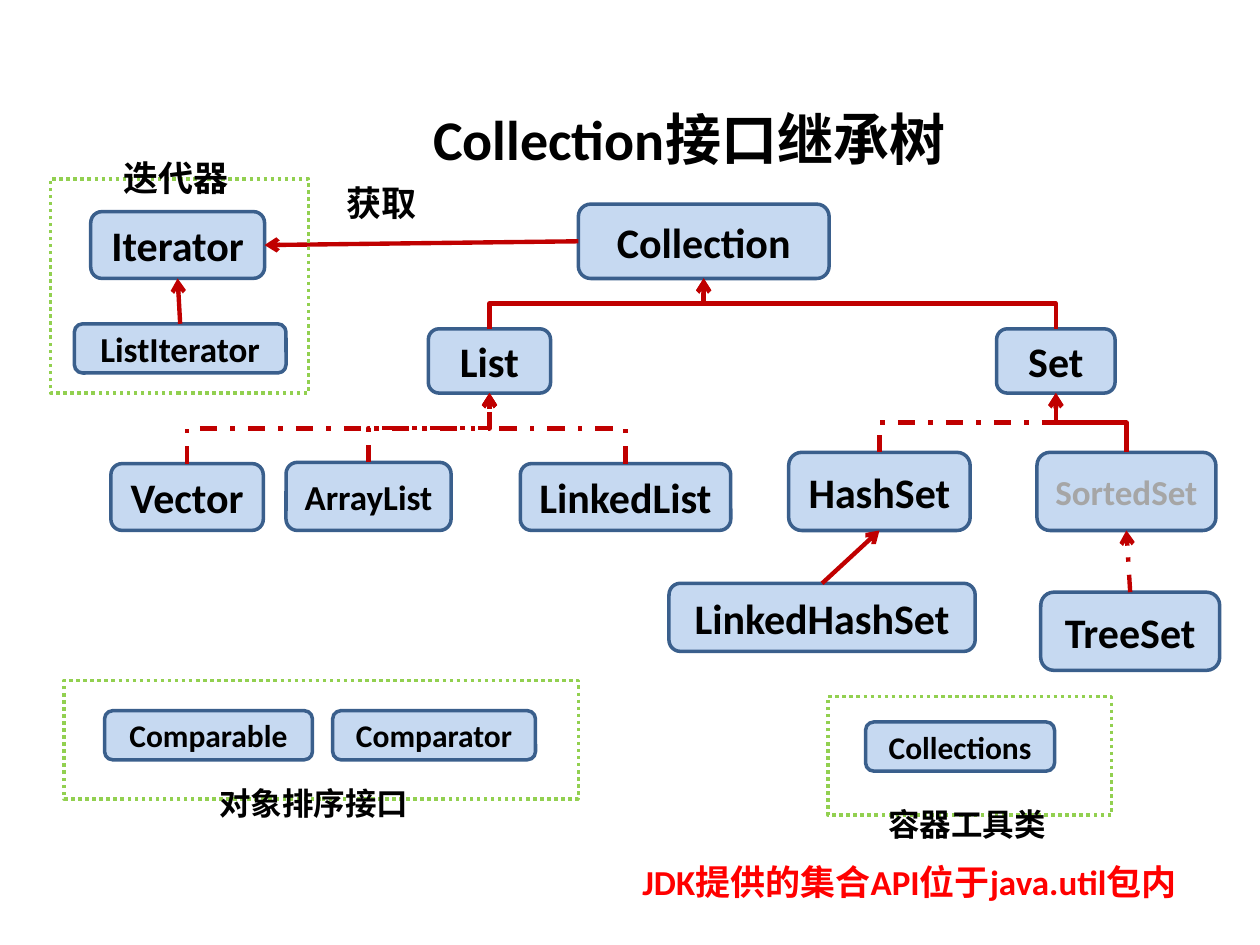
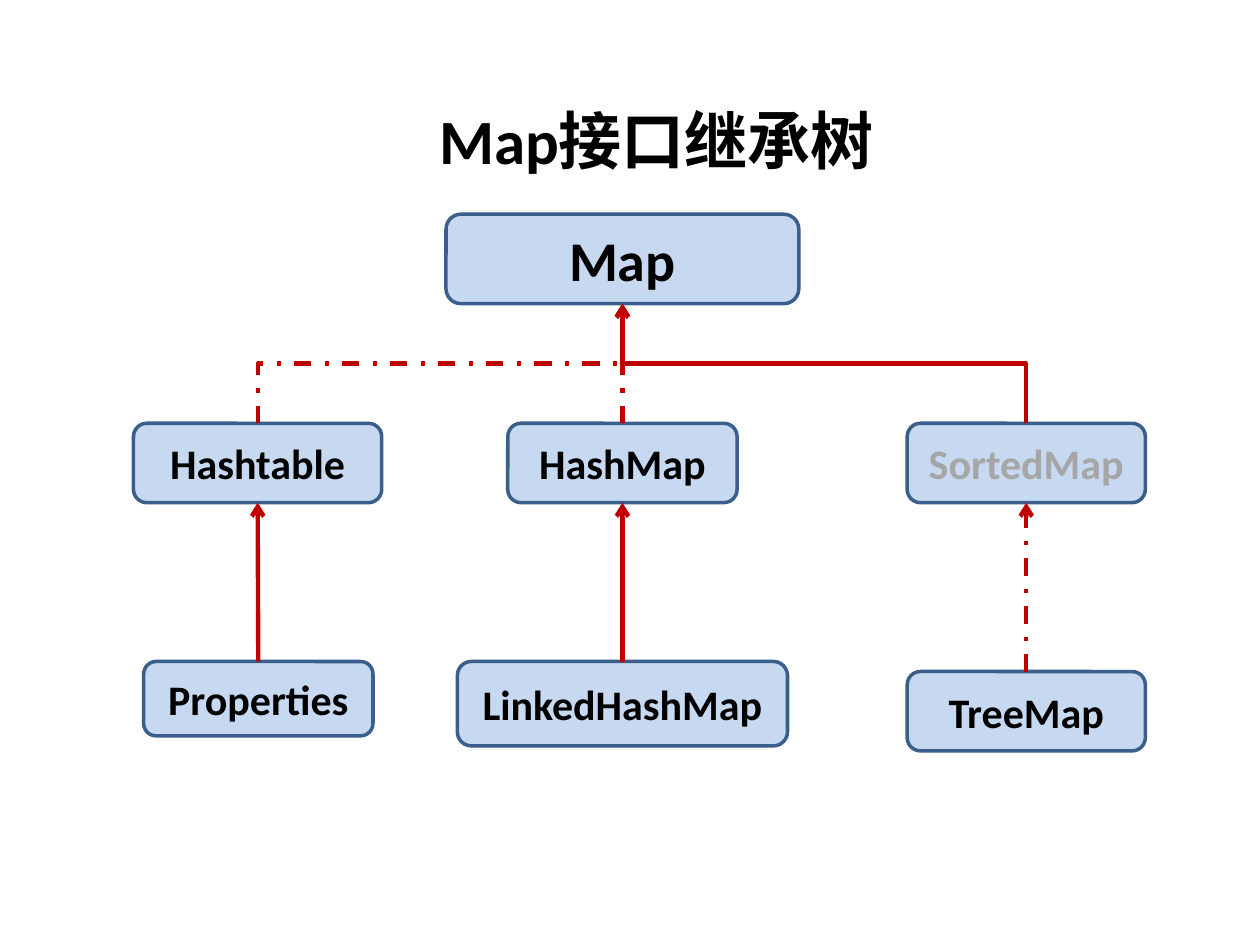
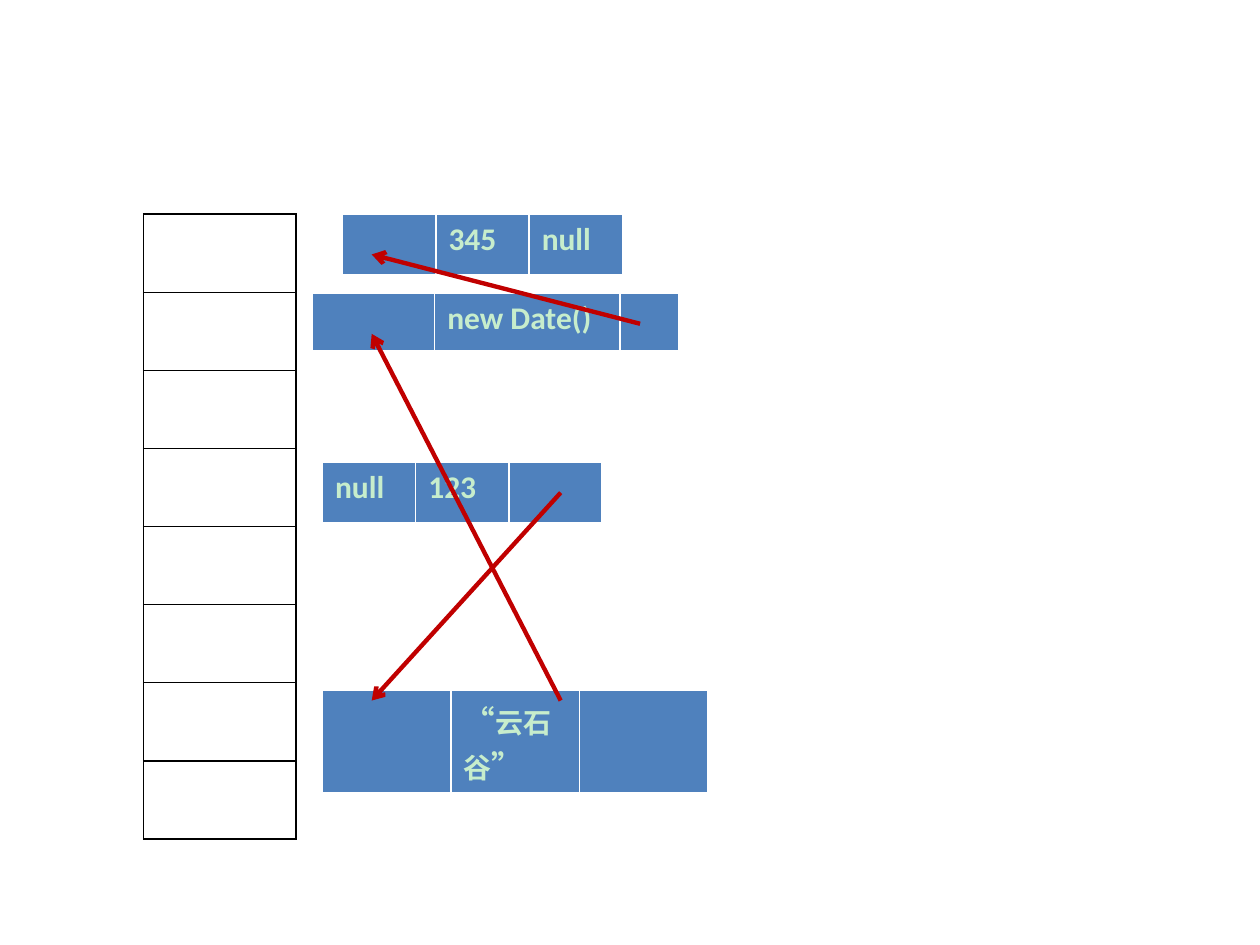
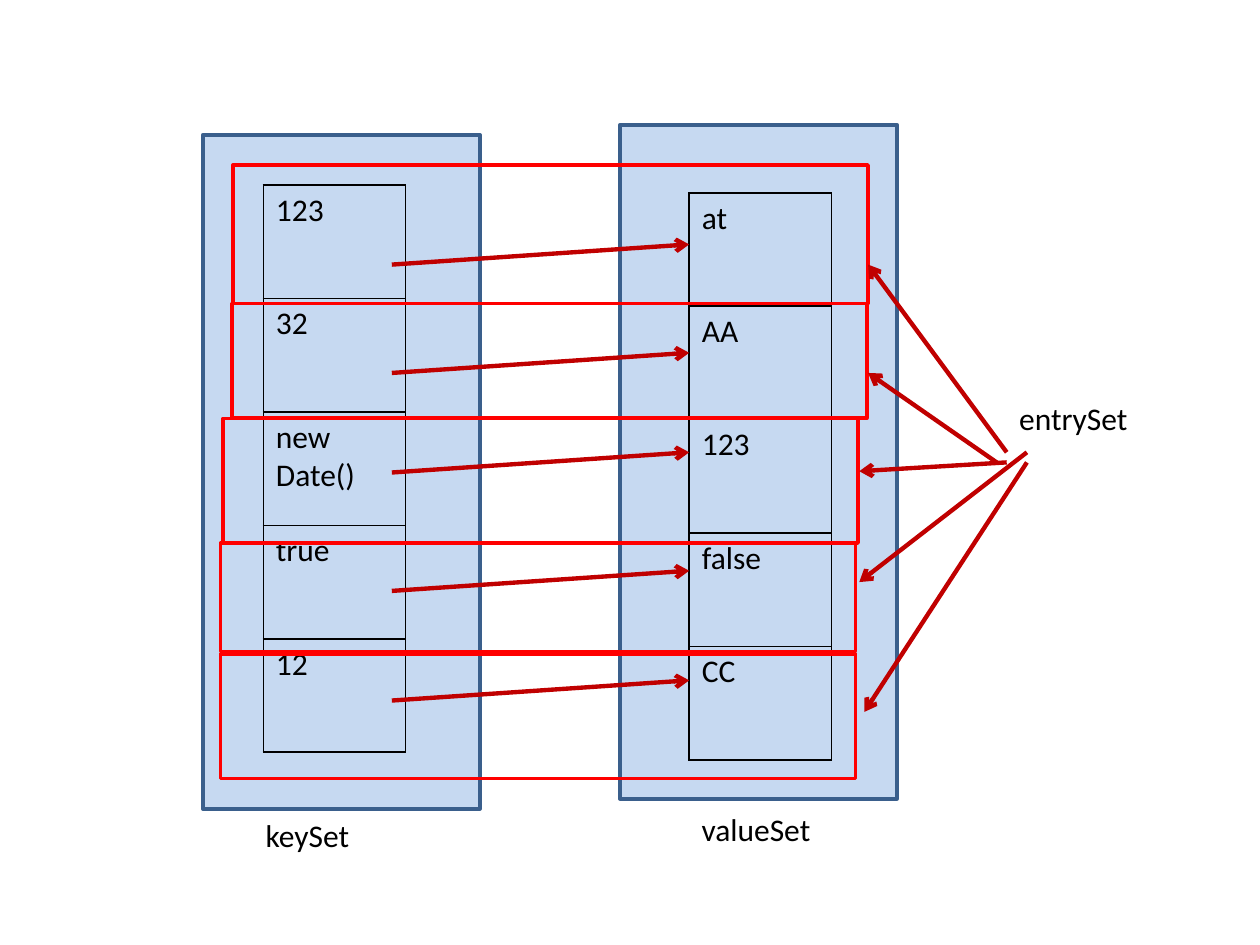
import lxml.etree
import pptx
import pptx.dml.color
import pptx.enum.dml
import pptx.enum.lang
import pptx.enum.shapes
import pptx.enum.text
import pptx.oxml.ns
import pptx.util

Inches = pptx.util.Inches
Pt = pptx.util.Pt
RGBColor = pptx.dml.color.RGBColor
Dash = pptx.enum.dml.MSO_LINE
Shape = pptx.enum.shapes.MSO_SHAPE
Connector = pptx.enum.shapes.MSO_CONNECTOR
Align = pptx.enum.text.PP_ALIGN
Anchor = pptx.enum.text.MSO_ANCHOR
qn = pptx.oxml.ns.qn

# Shared look
FONT = "Calibri"
WHITE = RGBColor(0xFF, 0xFF, 0xFF)
BLACK = RGBColor(0x00, 0x00, 0x00)
GREY = RGBColor(0xA6, 0xA6, 0xA6)
RED = RGBColor(0xFF, 0x00, 0x00)
DARK_RED = RGBColor(0xC0, 0x00, 0x00)
GREEN = RGBColor(0x92, 0xD0, 0x50)
PALE_GREEN = RGBColor(0xC7, 0xED, 0xCC)
PALE_BLUE = RGBColor(0xC6, 0xD9, 0xF1)
EDGE_BLUE = RGBColor(0x3A, 0x5F, 0x8C)
CELL_BLUE = RGBColor(0x4F, 0x81, 0xBD)

# Types: name -> (left, top, width, height, text size)
COLLECTION_TYPES = {
    "Collection": (4.59, 1.62, 1.99, 0.59, 24),
    "List": (3.4, 2.61, 0.97, 0.51, 24),
    "Set": (7.91, 2.61, 0.94, 0.51, 24),
    "Vector": (0.88, 3.68, 1.21, 0.53, 24),
    "ArrayList": (2.27, 3.67, 1.31, 0.54, 20),
    "LinkedList": (4.13, 3.68, 1.67, 0.53, 24),
    "HashSet": (6.26, 3.59, 1.44, 0.62, 24),
    "SortedSet": (8.23, 3.59, 1.42, 0.62, 20),
    "LinkedHashSet": (5.31, 4.63, 2.43, 0.54, 24),
    "TreeSet": (8.26, 4.7, 1.42, 0.62, 24),
    "Comparable": (0.83, 5.64, 1.65, 0.39, 18),
    "Comparator": (2.64, 5.64, 1.61, 0.39, 18),
    "Collections": (6.87, 5.73, 1.5, 0.39, 18),
    "Iterator": (0.72, 1.68, 1.38, 0.53, 24),
    "ListIterator": (0.59, 2.57, 1.68, 0.39, 20),
}
MAP_TYPES = {
    "Map": (3.54, 1.7, 2.8, 0.71, 32),
    "Hashtable": (1.06, 3.36, 1.97, 0.63, 24),
    "HashMap": (4.03, 3.36, 1.82, 0.63, 24),
    "SortedMap": (7.2, 3.36, 1.89, 0.63, 24),
    "Properties": (1.14, 5.25, 1.82, 0.59, 24),
    "LinkedHashMap": (3.63, 5.25, 2.62, 0.67, 24),
    "TreeMap": (7.2, 5.33, 1.89, 0.63, 24),
}
GREY_TYPES = ("SortedSet", "SortedMap")

# Inheritance: (child, parent, bent, dashed); dashed means "implements"
COLLECTION_LINKS = [
    ("List", "Collection", True, False),
    ("Set", "Collection", True, False),
    ("Vector", "List", True, True),
    ("ArrayList", "List", True, True),
    ("LinkedList", "List", True, True),
    ("HashSet", "Set", True, True),
    ("SortedSet", "Set", True, False),
    ("LinkedHashSet", "HashSet", False, False),
    ("TreeSet", "SortedSet", False, True),
    ("ListIterator", "Iterator", False, False),
]
MAP_LINKS = [
    ("Hashtable", "Map", True, True),
    ("SortedMap", "Map", True, False),
    ("TreeMap", "SortedMap", False, True),
    ("Properties", "Hashtable", False, False),
    ("LinkedHashMap", "HashMap", False, False),
    ("HashMap", "Map", False, True),
]
GROUP_FRAMES = [(0.4, 1.42, 2.05, 1.7), (0.51, 5.4, 4.08, 0.94),
                (6.57, 5.53, 2.25, 0.94)]
# (text, place, size, colour)
COLLECTION_LABELS = [
    ("迭代器", (0.88, 1.19, 1.22, 0.44), 20, BLACK),
    ("对象排序接口", (1.64, 6.17, 1.76, 0.4), 18, BLACK),
    ("容器工具类", (6.95, 6.34, 1.5, 0.4), 18, BLACK),
    ("Collection接口继承树", (3.34, 0.78, 5.32, 0.64), 32, BLACK),
    ("获取", (2.65, 1.39, 0.82, 0.44), 20, BLACK),
    ("JDK提供的集合API位于java.util包内", (5, 6.78, 4.79, 0.44), 20, RED),
]

# Linked nodes: (left, top, row height, column widths, cells of (text, size) runs)
BUCKET_COUNT = 8
LIST_NODES = [
    (2.56, 5.48, 0.47, [1.02] * 3,
     [[], [("“", 18), ("云石谷", 16), ("”", 18)], []]),
    (2.56, 3.67, 0.49, [0.74] * 3, [[("null", 18)], [("123", 18)], []]),
    (2.48, 2.33, 0.47, [0.97, 1.47, 0.47], [[], [("new Date()", 18)], []]),
    (2.72, 1.7, 0.49, [0.74] * 3, [[], [("345", 18)], [("null", 18)]]),
]
NODE_ARROWS = [((4.45, 3.91), (2.95, 5.56)), ((4.45, 5.56), (2.95, 2.65)),
               ((5.08, 2.57), (2.95, 2.02))]

# Map entries: (key, value, height of the arrow's start)
ENTRIES = [("123", "at", 2.1), ("32", "AA", 2.96), ("new Date()", "123", 3.75),
           ("true", "false", 4.69), ("12", "CC", 5.56)]
# Entry frames: (left, top, height), then the arrow from entrySet
ENTRY_FRAMES = [
    (1.85, 1.31, 1.1, (7.99, 3.59), (6.89, 2.1)),
    (1.84, 2.41, 0.91, (7.91, 3.67), (6.89, 2.96)),
    (1.77, 3.32, 0.99, (7.99, 3.67), (6.82, 3.74)),
    (1.75, 4.31, 0.86, (8.15, 3.59), (6.82, 4.62)),
    (1.75, 5.19, 0.99, (8.15, 3.67), (6.86, 5.65)),
]
SET_LABELS = [("keySet", (2.01, 6.43, 1.1, 0.4)),
              ("valueSet", (5.47, 6.38, 1.1, 0.4)),
              ("entrySet", (7.99, 3.12, 1.42, 0.4))]


def add_page(deck):
    page = deck.slides.add_slide(deck.slide_layouts[6])
    page.background.fill.solid()
    page.background.fill.fore_color.rgb = WHITE
    return page


def style_span(span, size, color, bold):
    span.font.name = FONT
    span.font.size = Pt(size)
    span.font.color.rgb = color
    span.font.bold = bold


def write(frame, text, size, color=BLACK, bold=True, align=None):
    frame.text = text
    para = frame.paragraphs[0]
    para.alignment = align
    style_span(para.runs[0], size, color, bold)


def add_label(page, text, place, size, color=BLACK, bold=True, align=None,
              anchor=Anchor.TOP):
    box = page.shapes.add_textbox(*map(Inches, place))
    box.text_frame.word_wrap = True
    box.text_frame.vertical_anchor = anchor
    write(box.text_frame, text, size, color, bold, align)


def add_box(page, kind, place, edge, fill=None, dash=None):
    box = page.shapes.add_shape(kind, *map(Inches, place))
    box.shadow.inherit = False
    if fill is None:
        box.fill.background()
    else:
        box.fill.solid()
        box.fill.fore_color.rgb = fill
    box.line.color.rgb = edge
    box.line.width = Pt(2)
    if dash is not None:
        box.line.dash_style = dash
    return box


def add_arrow(page, start, end, bent=False, dashed=False):
    """Draw an arrow; a bent one leaves and arrives vertically."""
    (x1, y1), (x2, y2) = start, end
    if bent:
        # An elbow runs sideways first, so lay it flat and turn it upright
        side = 1 if x2 > x1 else -1
        mid_x, mid_y = (x1 + x2) / 2, (y1 + y2) / 2
        half_rise, half_run = side * abs(y2 - y1) / 2, abs(x2 - x1) / 2
        x1, y1 = mid_x + half_rise, mid_y + half_run
        x2, y2 = mid_x - half_rise, mid_y - half_run
    kind = Connector.ELBOW if bent else Connector.STRAIGHT
    arrow = page.shapes.add_connector(kind, *map(Inches, (x1, y1, x2, y2)))
    if bent:
        arrow.rotation = 90 if side > 0 else 270
    arrow.line.color.rgb = DARK_RED
    arrow.line.width = Pt(2.5)
    if dashed:
        arrow.line.dash_style = Dash.DASH_DOT
    lxml.etree.SubElement(arrow.get_or_add_ln(), qn("a:tailEnd"), type="arrow")
    lxml.etree.SubElement(arrow.element.spPr, qn("a:effectLst"))


def add_types(page, types):
    for name, (*place, size) in types.items():
        box = add_box(page, Shape.ROUNDED_RECTANGLE, place, EDGE_BLUE, PALE_BLUE)
        box.text_frame.vertical_anchor = Anchor.MIDDLE
        color = GREY if name in GREY_TYPES else BLACK
        write(box.text_frame, name, size, color, align=Align.CENTER)


def add_links(page, types, links):
    for child, parent, bent, dashed in links:
        left, top, width = types[child][:3]
        over_left, over_top, over_width, over_height = types[parent][:4]
        add_arrow(page, (left + width / 2, top),
                  (over_left + over_width / 2, over_top + over_height),
                  bent, dashed)


def add_grid(page, left, top, widths, row_height, rows, text_color=BLACK,
             bold=False, fill=None, edge=BLACK, bottom=1):
    """Add a table; each cell is a list of (text, size) runs."""
    table = page.shapes.add_table(
        len(rows), len(widths), Inches(left), Inches(top),
        Inches(sum(widths)), Inches(row_height * len(rows))).table
    table.first_row = table.horz_banding = False
    for column, width in zip(table.columns, widths):
        column.width = Inches(width)
    for row, cells in zip(table.rows, rows):
        row.height = Inches(row_height)
        for cell, spans in zip(row.cells, cells):
            if fill is None:
                cell.fill.background()
            else:
                cell.fill.solid()
                cell.fill.fore_color.rgb = fill
            set_borders(cell, edge, bottom)
            for text, size in spans:
                span = cell.text_frame.paragraphs[0].add_run()
                span.text = text
                style_span(span, size, text_color, bold)
                if not text.isascii():
                    span.font.language_id = (
                        pptx.enum.lang.MSO_LANGUAGE_ID.SIMPLIFIED_CHINESE)


def set_borders(cell, color, bottom):
    props = cell._tc.get_or_add_tcPr()
    sides = [("a:lnL", 1), ("a:lnR", 1), ("a:lnT", 1), ("a:lnB", bottom)]
    for index, (side, width) in enumerate(sides):
        line = lxml.etree.Element(qn(side), w=str(Pt(width)))
        paint = lxml.etree.SubElement(line, qn("a:solidFill"))
        lxml.etree.SubElement(paint, qn("a:srgbClr"), val=str(color))
        props.insert(index, line)


def build_collection_tree(deck):
    page = add_page(deck)
    add_types(page, COLLECTION_TYPES)
    add_links(page, COLLECTION_TYPES, COLLECTION_LINKS)
    # Collection hands out an Iterator
    left, top, _, height, _ = COLLECTION_TYPES["Collection"]
    to_left, to_top, to_width, to_height, _ = COLLECTION_TYPES["Iterator"]
    add_arrow(page, (left, top + height / 2),
              (to_left + to_width, to_top + to_height / 2))
    for place in GROUP_FRAMES:
        add_box(page, Shape.RECTANGLE, place, GREEN, dash=Dash.ROUND_DOT)
    for text, place, size, color in COLLECTION_LABELS:
        add_label(page, text, place, size, color)


def build_map_tree(deck):
    page = add_page(deck)
    add_label(page, "Map接口继承树", (2.87, 0.6, 4.68, 1.01), 36,
              align=Align.CENTER, anchor=Anchor.MIDDLE)
    add_types(page, MAP_TYPES)
    add_links(page, MAP_TYPES, MAP_LINKS)


def build_linked_nodes(deck):
    page = add_page(deck)
    add_grid(page, 1.14, 1.7, [1.21], 0.62, [[[]]] * BUCKET_COUNT)
    for left, top, height, widths, cells in LIST_NODES:
        add_grid(page, left, top, widths, height, [cells], PALE_GREEN, True,
                 CELL_BLUE, WHITE, bottom=3)
    for start, end in NODE_ARROWS:
        add_arrow(page, start, end)


def build_entry_set(deck):
    page = add_page(deck)
    for left, top in ((4.92, 0.99), (1.61, 1.07)):
        add_box(page, Shape.RECTANGLE, (left, top, 2.2, 5.35), EDGE_BLUE, PALE_BLUE)
    keys, values, arrow_tops = zip(*ENTRIES)
    for left, top, texts in ((5.47, 1.53, values), (2.09, 1.47, keys)):
        add_grid(page, left, top, [1.13], 0.9, [[[(text, 18)]] for text in texts])
    for top in arrow_tops:
        add_arrow(page, (3.11, top), (5.47, top - 0.16))
    for text, place in SET_LABELS:
        add_label(page, text, place, 18, bold=False)
    for left, top, height, start, end in ENTRY_FRAMES:
        add_box(page, Shape.RECTANGLE, (left, top, 5.04, height), RED)
        add_arrow(page, start, end)


def main():
    deck = pptx.Presentation()
    deck.slide_width, deck.slide_height = Inches(10), Inches(7.5)
    build_collection_tree(deck)
    build_map_tree(deck)
    build_linked_nodes(deck)
    build_entry_set(deck)
    deck.save("out.pptx")


if __name__ == "__main__":
    main()
